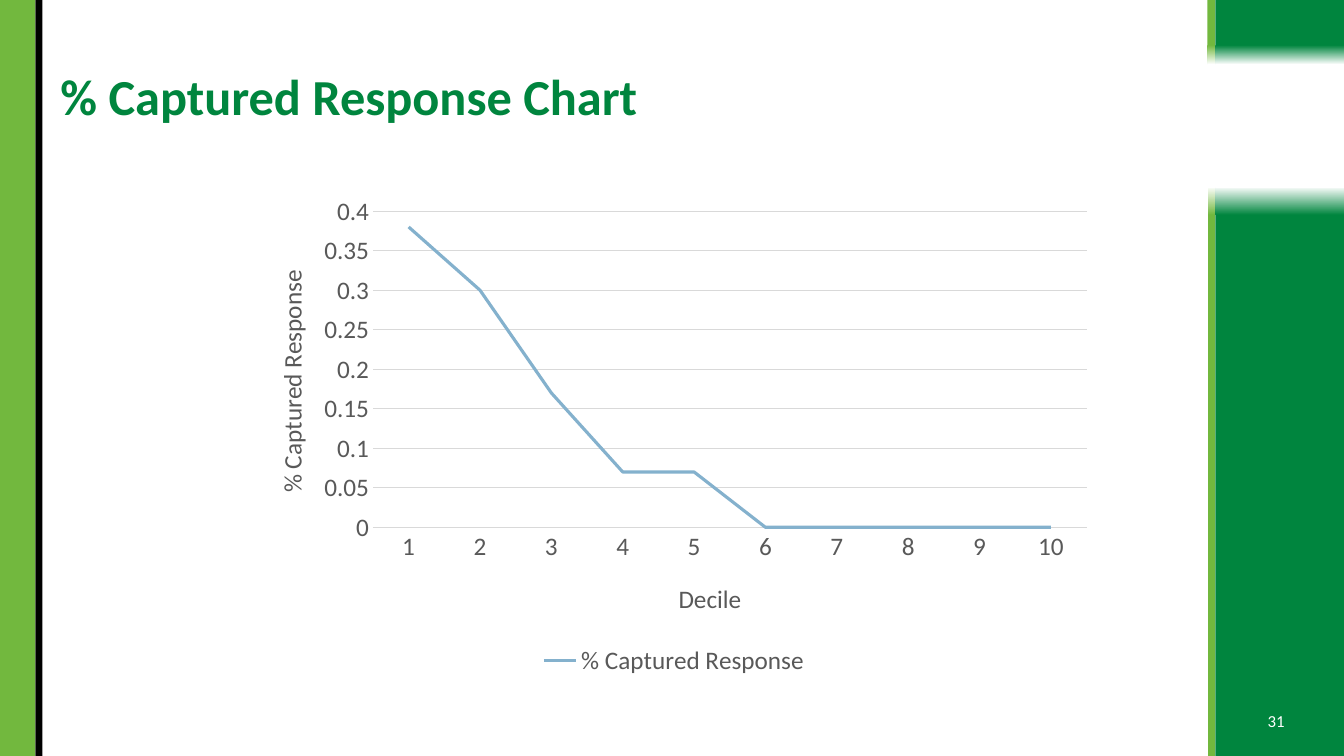
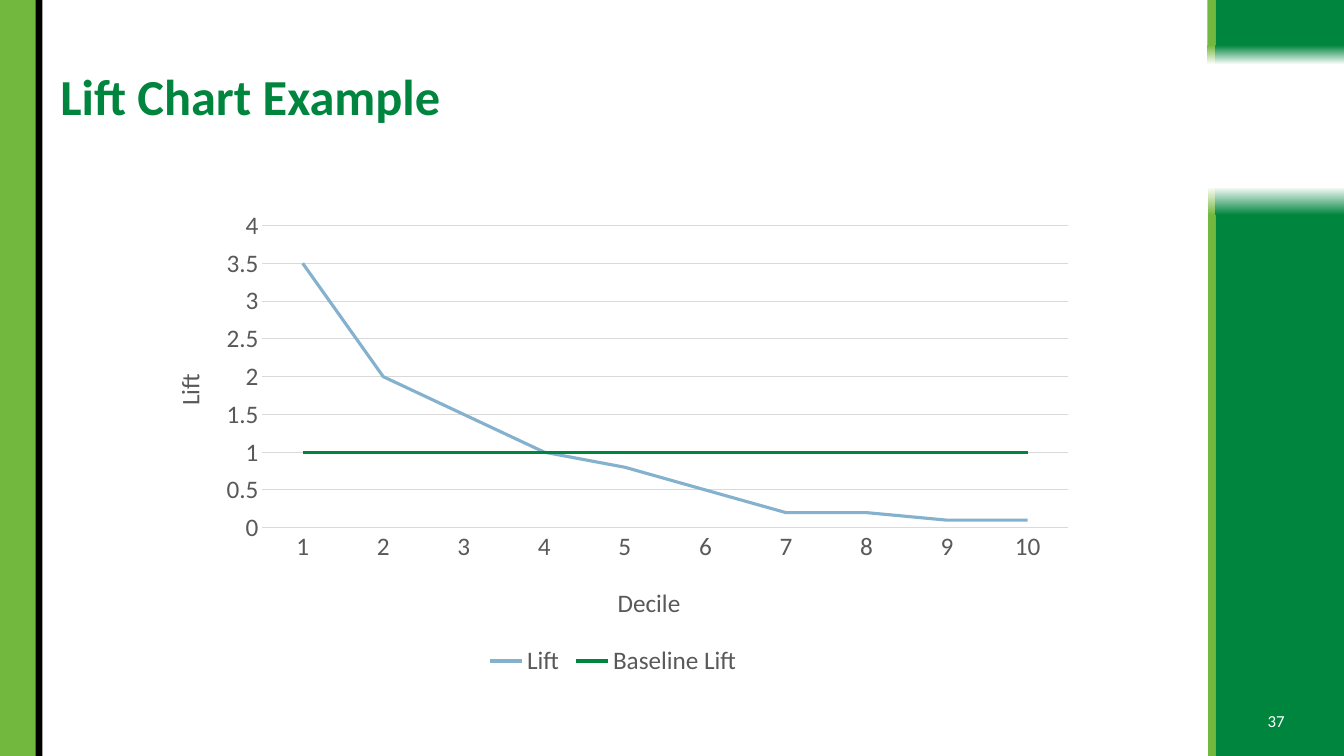
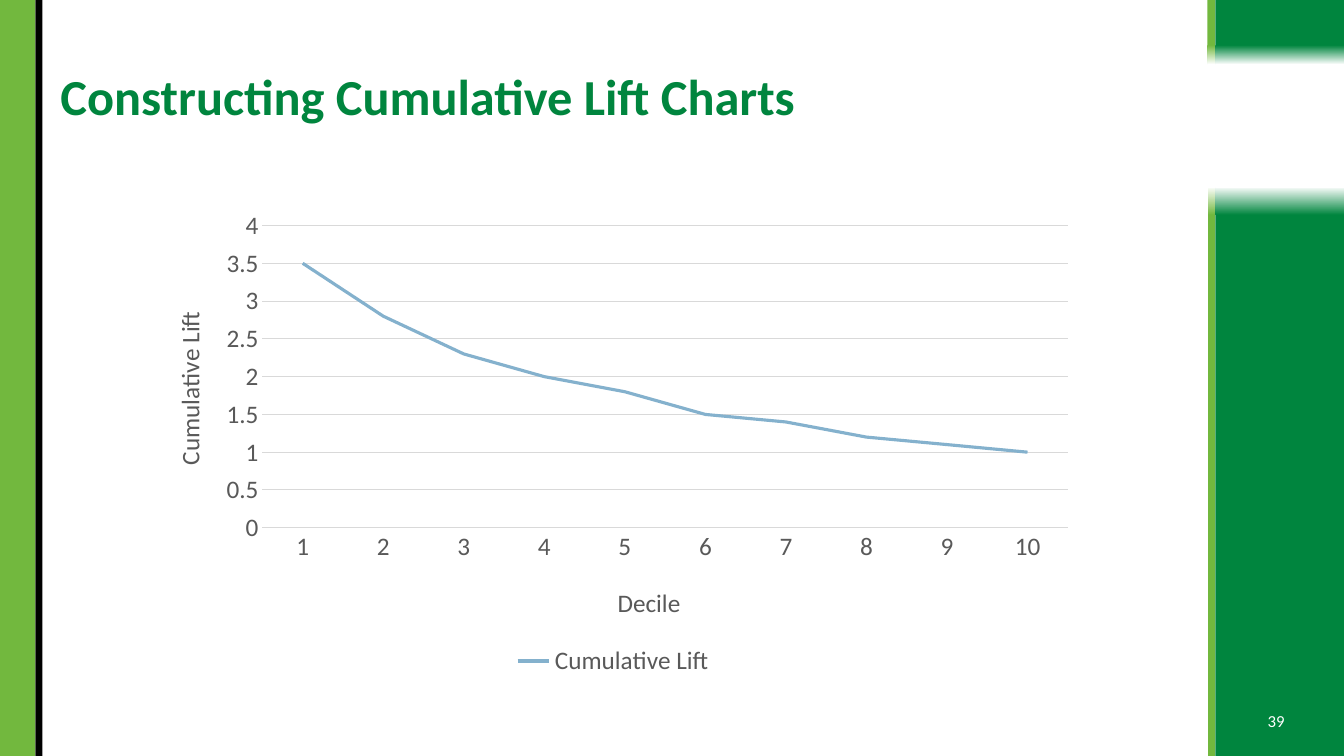
from dataclasses import dataclass

from pptx import Presentation
from pptx.chart.data import CategoryChartData
from pptx.dml.color import RGBColor
from pptx.enum.chart import XL_CHART_TYPE, XL_LEGEND_POSITION, XL_TICK_MARK
from pptx.enum.shapes import MSO_SHAPE
from pptx.enum.text import MSO_ANCHOR, MSO_AUTO_SIZE, PP_ALIGN
from pptx.oxml.ns import qn
from pptx.util import Cm, Pt
from lxml.etree import SubElement


@dataclass(frozen=True)
class Theme:
    font: str = "Calibri"
    green: RGBColor = RGBColor(0x00, 0x85, 0x3E)
    lime: RGBColor = RGBColor(0x72, 0xB8, 0x3E)
    blue: RGBColor = RGBColor(0x84, 0xB1, 0xCD)
    black: RGBColor = RGBColor(0, 0, 0)
    white: RGBColor = RGBColor(0xFF, 0xFF, 0xFF)
    text_gray: RGBColor = RGBColor(0x59, 0x59, 0x59)
    line_gray: RGBColor = RGBColor(0xD9, 0xD9, 0xD9)
    title_size: Pt = Pt(36)
    chart_size: Pt = Pt(18)
    number_size: Pt = Pt(12)


theme = Theme()


def style_font(font, size, color, bold=False):
    font.name, font.size, font.bold = theme.font, size, bold
    font.color.rgb = color


def place_chart_part(part, index, **fractions):
    """Position a plot area or title by fractions of the chart's size."""
    for old_layout in part.findall(qn("c:layout")):
        part.remove(old_layout)
    layout_element = SubElement(part, qn("c:layout"))
    part.insert(index, layout_element)
    manual = SubElement(layout_element, qn("c:manualLayout"))
    if "w" in fractions:
        SubElement(manual, qn("c:layoutTarget")).set("val", "inner")
    for mode in ("xMode", "yMode"):
        SubElement(manual, qn(f"c:{mode}")).set("val", "edge")
    for name, value in fractions.items():
        SubElement(manual, qn(f"c:{name}")).set("val", str(value))


# Slide content
small_frame = (Cm(6.15), Cm(4.7), Cm(21.67), Cm(12.45))
wide_frame = (Cm(3.51), Cm(5.08), Cm(23.88), Cm(12.09))
small_plot = dict(x=0.15, y=0.05, w=0.83, h=0.64)
wide_plot = dict(x=0.13, y=0.05, w=0.85, h=0.63)

slides_content = [
    dict(title="% Captured Response Chart", number="31",
         frame=small_frame, plot=small_plot,
         axis_title="% Captured Response", axis_title_top=0.16,
         maximum=0.4, step=0.05,
         series={"% Captured Response": (0.38, 0.3, 0.17, 0.07, 0.07, 0, 0, 0, 0, 0)}),
    dict(title="Lift Chart Example", number="37",
         frame=wide_frame, plot=wide_plot,
         axis_title="Lift", axis_title_top=0.35,
         maximum=4, step=0.5,
         series={"Lift": (3.5, 2, 1.5, 1, 0.8, 0.5, 0.2, 0.2, 0.1, 0.1),
                 "Baseline Lift": (1,) * 10}),
    dict(title="Constructing Cumulative Lift Charts", number="39",
         frame=wide_frame, plot=wide_plot,
         axis_title="Cumulative Lift", axis_title_top=0.22,
         maximum=4, step=0.5,
         series={"Cumulative Lift": (3.5, 2.8, 2.3, 2, 1.8, 1.5, 1.4, 1.2, 1.1, 1)}),
]

presentation = Presentation()
presentation.slide_width, presentation.slide_height = Cm(33.87), Cm(19.05)
layout = presentation.slide_layouts.get_by_name("Title Only")

# Shared title position
layout_title = layout.placeholders[0]
layout_title.left, layout_title.top = Cm(1.27), Cm(1.02)
layout_title.width, layout_title.height = Cm(28.96), Cm(2.95)

# Shared bands: left, top, width, height, colour, end of solid part, rotation
bands = [
    (0, 0, 0.89, 19.05, theme.lime, None, 0),
    (0.89, 0, 0.18, 19.05, theme.black, None, 0),
]
for left, width, color in ((30.63, 3.24, theme.green), (30.43, 0.2, theme.lime)):
    bands.append((left, 0, width, 1.63, color, 0.7, 0))
    bands.append((left, 4.7, width, 14.35, color, 0.95, 180))

for slide_index, content in enumerate(slides_content):
    slide = presentation.slides.add_slide(layout)

    # Bands are drawn once and moved behind everything in the layout
    if slide_index == 0:
        for left, top, width, height, color, solid_end, rotation in bands:
            band = slide.shapes.add_shape(
                MSO_SHAPE.RECTANGLE, Cm(left), Cm(top), Cm(width), Cm(height))
            band.shadow.inherit = False
            band.line.fill.background()
            band.rotation = rotation
            if solid_end is None:
                band.fill.solid()
                band.fill.fore_color.rgb = color
            else:
                band.fill.gradient()
                band.fill.gradient_angle = 270
                solid_stop, white_stop = band.fill.gradient_stops
                solid_stop.position, solid_stop.color.rgb = solid_end, color
                white_stop.position, white_stop.color.rgb = 1, theme.white
            layout.shapes._spTree.insert(2, band._element)

    # Title
    title_frame = slide.shapes.title.text_frame
    title_frame.text = content["title"]
    title_frame.auto_size = MSO_AUTO_SIZE.NONE
    title_frame.vertical_anchor = MSO_ANCHOR.MIDDLE
    paragraph = title_frame.paragraphs[0]
    paragraph.alignment = PP_ALIGN.LEFT
    paragraph.line_spacing = 0.9
    style_font(paragraph.runs[0].font, theme.title_size, theme.green, bold=True)

    # Slide number
    number_box = slide.shapes.add_textbox(Cm(31.5), Cm(17.65), Cm(1.32), Cm(1.02))
    number_frame = number_box.text_frame
    number_frame.word_wrap = True
    number_frame.vertical_anchor = MSO_ANCHOR.MIDDLE
    number_frame.text = content["number"]
    paragraph = number_frame.paragraphs[0]
    paragraph.alignment = PP_ALIGN.CENTER
    style_font(paragraph.runs[0].font, theme.number_size, theme.white)

    # Line chart
    chart_data = CategoryChartData()
    chart_data.categories = [str(decile) for decile in range(1, 11)]
    for name, values in content["series"].items():
        chart_data.add_series(name, values)
    chart = slide.shapes.add_chart(
        XL_CHART_TYPE.LINE, *content["frame"], chart_data).chart
    chart.has_title = False
    style_font(chart.font, theme.chart_size, theme.text_gray)
    chart.plots[0].vary_by_categories = False
    for series, color in zip(chart.plots[0].series, (theme.blue, theme.green)):
        series.smooth = False
        series.format.line.width = Pt(2.25)
        series.format.line.color.rgb = color
    place_chart_part(chart._chartSpace.chart.plotArea, 0, **content["plot"])

    # Legend
    chart.has_legend = True
    chart.legend.position = XL_LEGEND_POSITION.BOTTOM
    chart.legend.include_in_layout = False
    style_font(chart.legend.font, theme.chart_size, theme.text_gray)

    # Axes and their titles
    category_axis, value_axis = chart.category_axis, chart.value_axis
    for axis, text, x, y, rotation in (
            (category_axis, "Decile", 0.5, 0.79, "0"),
            (value_axis, content["axis_title"], 0.03,
             content["axis_title_top"], "-5400000")):
        axis.major_tick_mark = axis.minor_tick_mark = XL_TICK_MARK.NONE
        style_font(axis.tick_labels.font, theme.chart_size, theme.text_gray)
        axis_frame = axis.axis_title.text_frame
        axis_frame.text = text
        axis_frame._txBody.bodyPr.set("rot", rotation)
        style_font(axis_frame.paragraphs[0].runs[0].font,
                   theme.chart_size, theme.text_gray)
        place_chart_part(axis.axis_title._element, 1, x=x, y=y)
    value_axis.minimum_scale = 0
    value_axis.maximum_scale = content["maximum"]
    value_axis.major_unit = content["step"]
    value_axis.tick_labels.number_format = "General"
    value_axis.tick_labels.number_format_is_linked = False
    value_axis.format.line.fill.background()
    for line in (category_axis.format.line, value_axis.major_gridlines.format.line):
        line.width = Pt(0.75)
        line.color.rgb = theme.line_gray

presentation.save("out.pptx")
